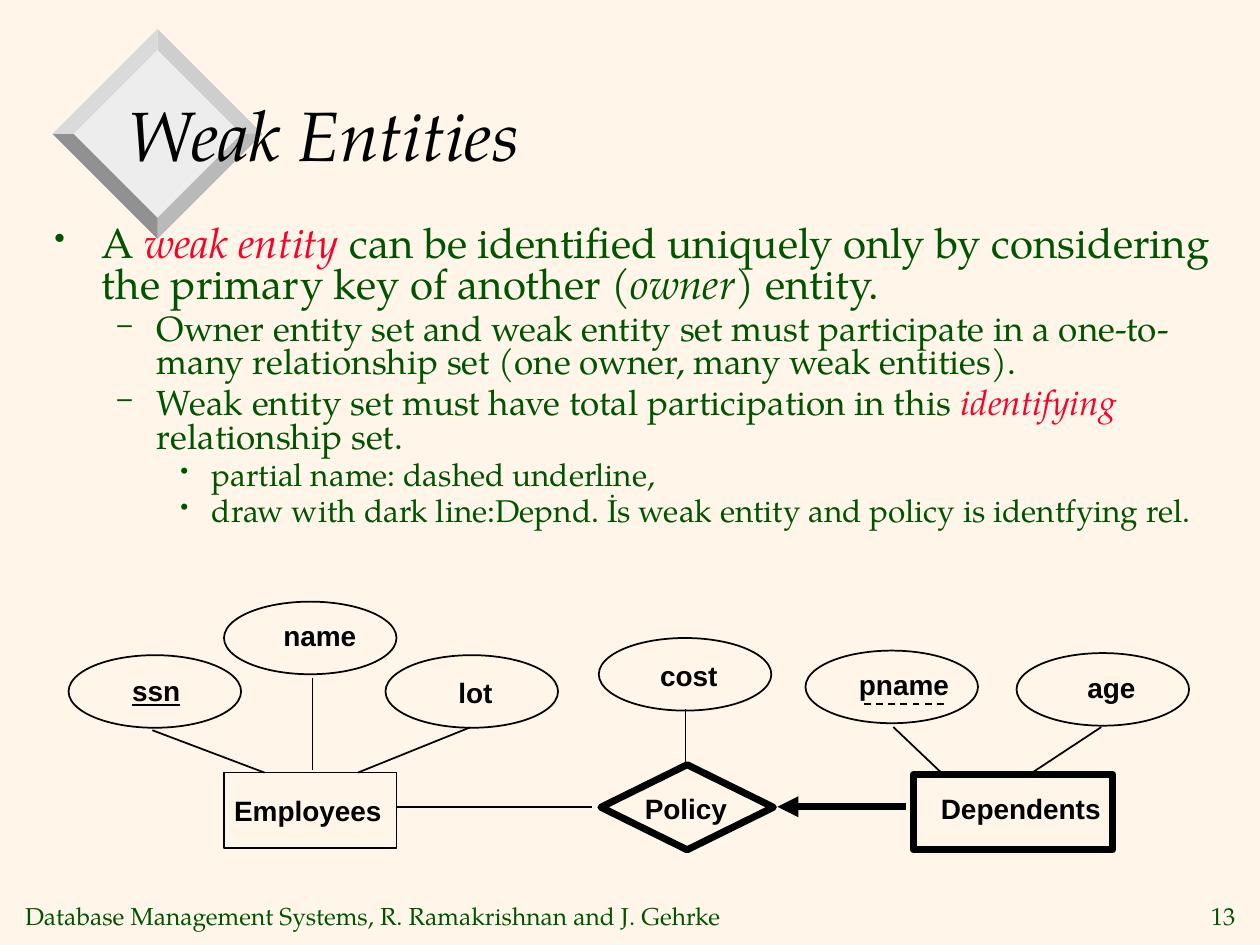
from dataclasses import dataclass
from lxml.etree import SubElement
from pptx import Presentation
from pptx.dml.color import RGBColor as RGB
from pptx.enum.dml import MSO_LINE
from pptx.enum.shapes import MSO_CONNECTOR as CONN, MSO_SHAPE as SHAPE
from pptx.enum.text import MSO_ANCHOR as ANCHOR, PP_ALIGN as ALIGN
from pptx.oxml.ns import qn
from pptx.util import Pt


@dataclass(frozen=True)
class Theme:
    paper: str = "FFF6E9"
    ink: str = "000000"
    green: str = "005400"
    red: str = "FC0128"
    face: str = "EDEDED"
    facets: tuple = ("CECECE", "B9B9B9", "919191", "DADADA")
    serif: str = "TeX Gyre Pagella"
    sans: str = "Arial"
    title: int = 40
    levels: tuple = (24, 20, 18)
    label: int = 16
    footer: int = 14
    thin: int = 1
    thick: int = 4


class Deck:
    def __init__(self, theme):
        self.t = theme
        self.prs = Presentation()
        self.prs.slide_width, self.prs.slide_height = Pt(720), Pt(540)
        self.s = self.prs.slides.add_slide(self.prs.slide_layouts[6])
        fill = self.s.background.fill
        fill.solid()
        fill.fore_color.rgb = RGB.from_string(theme.paper)

    def run(self, p, text, size, color, font, **style):
        r = p.add_run()
        r.text = text
        r.font.size, r.font.name = Pt(size), font
        r.font.color.rgb = RGB.from_string(color)
        for name, value in style.items():
            setattr(r.font, name, value)

    def box(self, x, y, w, h, anchor=ANCHOR.TOP):
        tf = self.s.shapes.add_textbox(Pt(x), Pt(y), Pt(w), Pt(h)).text_frame
        tf.word_wrap, tf.vertical_anchor = True, anchor
        return tf

    def text(self, x, y, w, h, text, size, color, font, anchor=ANCHOR.TOP,
             align=ALIGN.LEFT, **style):
        p = self.box(x, y, w, h, anchor).paragraphs[0]
        p.alignment = align
        self.run(p, text, size, color, font, **style)

    def label(self, x, y, w, text, **style):
        self.text(x, y, w, 26, text, self.t.label, self.t.ink, self.t.sans,
                  bold=True, **style)

    def bullets(self, x, y, w, h, items):
        tf = self.box(x, y, w, h)
        indents = ((27, -27, "•"), (58.5, -22.5, "–"), (90, -18, "•"))
        for i, (level, runs) in enumerate(items):
            p = tf.paragraphs[0] if i == 0 else tf.add_paragraph()
            size = self.t.levels[level]
            p.level, p.line_spacing, p.space_before = level, 0.8, Pt(size * 0.2)
            left, hang, char = indents[level]
            pPr = p._p.get_or_add_pPr()
            pPr.set("marL", str(Pt(left)))
            pPr.set("indent", str(Pt(hang)))
            clr = SubElement(pPr, qn("a:buClr"))
            SubElement(clr, qn("a:srgbClr"), val=self.t.green)
            SubElement(pPr, qn("a:buSzPct"), val="75000")
            SubElement(pPr, qn("a:buChar"), char=char)
            for text, color, italic in runs:
                self.run(p, text, size, color, self.t.serif, italic=italic)

    def polygon(self, points, color):
        pts = [(Pt(x), Pt(y)) for x, y in points]
        fb = self.s.shapes.build_freeform(*pts[0])
        fb.add_line_segments(pts[1:], close=True)
        sp = fb.convert_to_shape()
        sp.shadow.inherit = False
        sp.fill.solid()
        sp.fill.fore_color.rgb = RGB.from_string(color)
        sp.line.fill.background()

    def outline(self, kind, x, y, w, h, weight):
        sp = self.s.shapes.add_shape(kind, Pt(x), Pt(y), Pt(w), Pt(h))
        sp.shadow.inherit = False
        sp.fill.background()
        self.stroke(sp.line, weight)

    def stroke(self, line, weight):
        line.color.rgb = RGB.from_string(self.t.ink)
        line.width = Pt(weight)

    def line(self, x1, y1, x2, y2, weight, dash=False, arrow=False):
        c = self.s.shapes.add_connector(
            CONN.STRAIGHT, Pt(x1), Pt(y1), Pt(x2), Pt(y2))
        self.stroke(c.line, weight)
        if dash:
            c.line.dash_style = MSO_LINE.DASH
        if arrow:
            SubElement(c.line._get_or_add_ln(), qn("a:headEnd"), type="triangle")
        SubElement(c._element.spPr, qn("a:effectLst"))


t = Theme()
d = Deck(t)

cx, cy, inner, outer = 90, 76.5, 48, 60
compass = ((0, -1), (1, 0), (0, 1), (-1, 0))


def corner(i, radius):
    dx, dy = compass[i % 4]
    return cx + dx * radius, cy + dy * radius


d.polygon([corner(i, inner) for i in range(4)], t.face)
for i, color in enumerate(t.facets):
    d.polygon([corner(i, inner), corner(i, outer),
               corner(i + 1, outer), corner(i + 1, inner)], color)

d.text(7.2, 511.5, 430, 23.5, "Database Management Systems, R. Ramakrishnan and J. Gehrke",
       t.footer, t.green, t.serif, ANCHOR.MIDDLE)
d.text(673, 511.5, 40, 23.5, "13", t.footer, t.green, t.serif,
       ANCHOR.MIDDLE, ALIGN.RIGHT)
d.text(66, 33, 612, 87, "Weak Entities", t.title, t.ink, t.serif,
       ANCHOR.MIDDLE, italic=True)

d.bullets(24, 126, 676, 201, [
    (0, [("A ", t.green, False), ("weak entity ", t.red, True),
         ("can be identified uniquely only by considering the primary key "
          "of another (", t.green, False),
         ("owner", t.green, True), (") entity.", t.green, False)]),
    (1, [("Owner entity set and weak entity set must participate in a one-to-many "
          "relationship set (one owner, many weak entities).", t.green, False)]),
    (1, [("Weak entity set must have total participation in this ", t.green, False),
         ("identifying ", t.red, True), ("relationship set.", t.green, False)]),
    (2, [("partial name: dashed underline,", t.green, False)]),
    (2, [("draw with dark line:Depnd. İs weak entity and policy is identfying rel.",
          t.green, False)]),
])

attributes = [
    ("ssn", 39.2, 374.4, 68.4, 381.6, 48, True),
    ("name", 128, 343.8, 154.8, 349.9, 62, False),
    ("lot", 220.3, 374.4, 254.9, 382.5, 40, False),
    ("cost", 342.2, 364.6, 370.1, 373, 54, False),
    ("pname", 460.3, 371.8, 483.8, 378, 72, False),
    ("age", 580.9, 373.2, 614.2, 379.4, 48, False),
]
for text, x, y, tx, ty, tw, key in attributes:
    d.outline(SHAPE.OVAL, x, y, 98.6, 41.5, t.thin)
    d.label(tx, ty, tw, text, underline=key)

entities = [
    ("Employees", SHAPE.RECTANGLE, 128, 441.5, 98.6, 43, t.thin, 126.7, 450, 106),
    ("Policy", SHAPE.DIAMOND, 343.4, 437, 98.6, 48.6, t.thick, 361.4, 448.6, 68),
    ("Dependents", SHAPE.RECTANGLE, 521.8, 442.6, 114.2, 43, t.thick, 530.6, 448.6, 114),
]
for text, kind, x, y, w, h, weight, tx, ty, tw in entities:
    d.outline(kind, x, y, w, h, weight)
    d.label(tx, ty, tw, text)

links = [
    (178.6, 387.4, 178.6, 440), (87.1, 417.3, 151.2, 441.5),
    (268.6, 415.7, 204.5, 441.5), (391.7, 437.8, 391.7, 404.9),
    (510.5, 415.5, 539, 442.6), (629.3, 415.5, 588.2, 442.6),
    (338.4, 461, 226.8, 461),
]
for ends in links:
    d.line(*ends, t.thin)
d.line(539.3, 402.4, 491, 402.4, t.thin, dash=True)
d.line(444.2, 461, 517.7, 461, t.thick, arrow=True)

d.prs.save("out.pptx")
